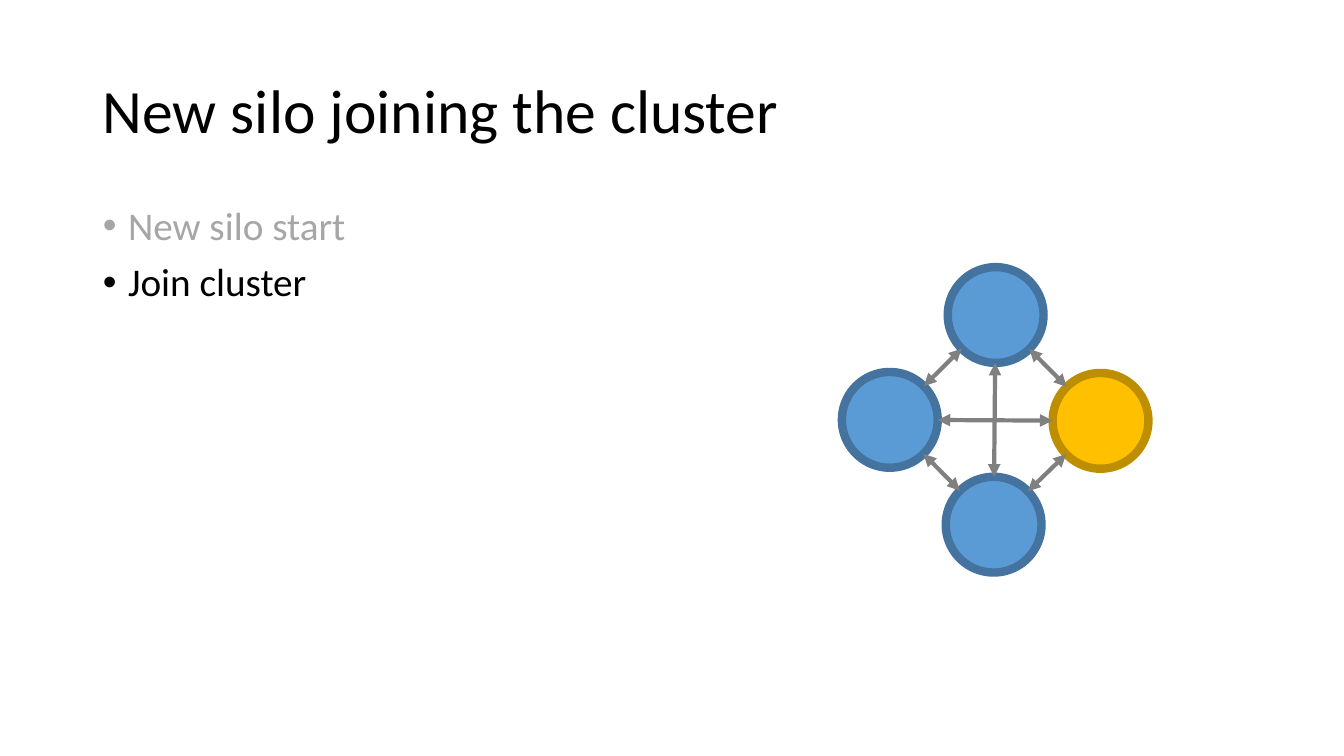
from math import atan2, cos, sin

from pptx import Presentation
from pptx.dml.color import RGBColor
from pptx.enum.shapes import MSO_CONNECTOR, MSO_SHAPE
from pptx.enum.text import MSO_ANCHOR, MSO_AUTO_SIZE, PP_ALIGN
from pptx.oxml.ns import qn
from pptx.util import Pt
from lxml import etree

STRAIGHT = MSO_CONNECTOR.STRAIGHT
ELLIPSE = MSO_SHAPE.OVAL
MIDDLE = MSO_ANCHOR.MIDDLE
TOP = MSO_ANCHOR.TOP
NO_AUTOFIT = MSO_AUTO_SIZE.NONE
LEFT = PP_ALIGN.LEFT

EMU_PER_PX = 9144  # 100 px to the inch
COLORS = {
    "text": "000000",
    "done": "A6A6A6",
    "silo": "5B9BD5",
    "silo_edge": "43739E",
    "new_silo": "FFC000",
    "new_silo_edge": "BD8E00",
    "link": "808080",
}
SILO_SIZE = 95


def px(length):
    return round(length * EMU_PER_PX)


def color(name):
    return RGBColor.from_string(COLORS[name])


class ClusterSlide:
    font_name = "Calibri"

    def __init__(self, deck):
        self.page = deck.slides.add_slide(deck.slide_layouts[1])

    def place(self, box, left, top, width, height, anchor):
        box.left, box.top, box.width, box.height = map(px, (left, top, width, height))
        frame = box.text_frame
        frame.word_wrap = True
        frame.auto_size = NO_AUTOFIT
        frame.vertical_anchor = anchor
        return frame

    def format_paragraph(self, para, size, color_name):
        para.alignment = LEFT
        para.line_spacing = 0.9
        para.font.name = self.font_name
        para.font.size = Pt(size)
        para.font.color.rgb = color(color_name)

    def title(self, text, *bounds):
        frame = self.place(self.page.shapes.title, *bounds, MIDDLE)
        frame.text = text
        self.format_paragraph(frame.paragraphs[0], 44, "text")

    def bullets(self, items, *bounds):
        frame = self.place(self.page.placeholders[1], *bounds, TOP)
        frame.text = "\n".join(text for text, _ in items)
        for para, (_, color_name) in zip(frame.paragraphs, items):
            self.format_paragraph(para, 28, color_name)
            para.space_before = Pt(10)
            properties = para._p.get_or_add_pPr()
            properties.set("marL", str(px(25)))
            properties.set("indent", str(px(-25)))

    def silo(self, left, top, kind):
        """Draw one silo and return its centre in px."""
        circle = self.page.shapes.add_shape(
            ELLIPSE, px(left), px(top), px(SILO_SIZE), px(SILO_SIZE))
        circle.shadow.inherit = False
        circle.fill.solid()
        circle.fill.fore_color.rgb = color(kind)
        circle.line.color.rgb = color(kind + "_edge")
        circle.line.width = Pt(6)
        return left + SILO_SIZE / 2, top + SILO_SIZE / 2

    def link(self, start, end):
        """Join the rims of two silos, given their centres, by a double arrow."""
        angle = atan2(end[1] - start[1], end[0] - start[0])
        dx, dy = cos(angle) * SILO_SIZE / 2, sin(angle) * SILO_SIZE / 2
        arrow = self.page.shapes.add_connector(
            STRAIGHT, px(start[0] + dx), px(start[1] + dy),
            px(end[0] - dx), px(end[1] - dy))
        arrow.line.color.rgb = color("link")
        arrow.line.width = Pt(3)
        outline = arrow.line._get_or_add_ln()
        for arrowhead in ("a:headEnd", "a:tailEnd"):
            etree.SubElement(outline, qn(arrowhead), type="triangle")
        etree.SubElement(arrow._element.spPr, qn("a:effectLst"))


def main():
    deck = Presentation()
    deck.slide_width, deck.slide_height = px(1333), px(750)
    slide = ClusterSlide(deck)
    slide.title("New silo joining the cluster", 92, 40, 1150, 145)
    slide.bullets([("New silo start", "done"), ("Join cluster", "text")],
                  92, 200, 726, 476)

    top = slide.silo(940, 265, "silo")
    left = slide.silo(835, 369, "silo")
    bottom = slide.silo(938, 473, "silo")
    right = slide.silo(1044, 370, "new_silo")

    for start, end in [(left, top), (left, bottom), (bottom, top),
                       (top, right), (right, bottom), (left, right)]:
        slide.link(start, end)
    deck.save("out.pptx")


if __name__ == "__main__":
    main()
